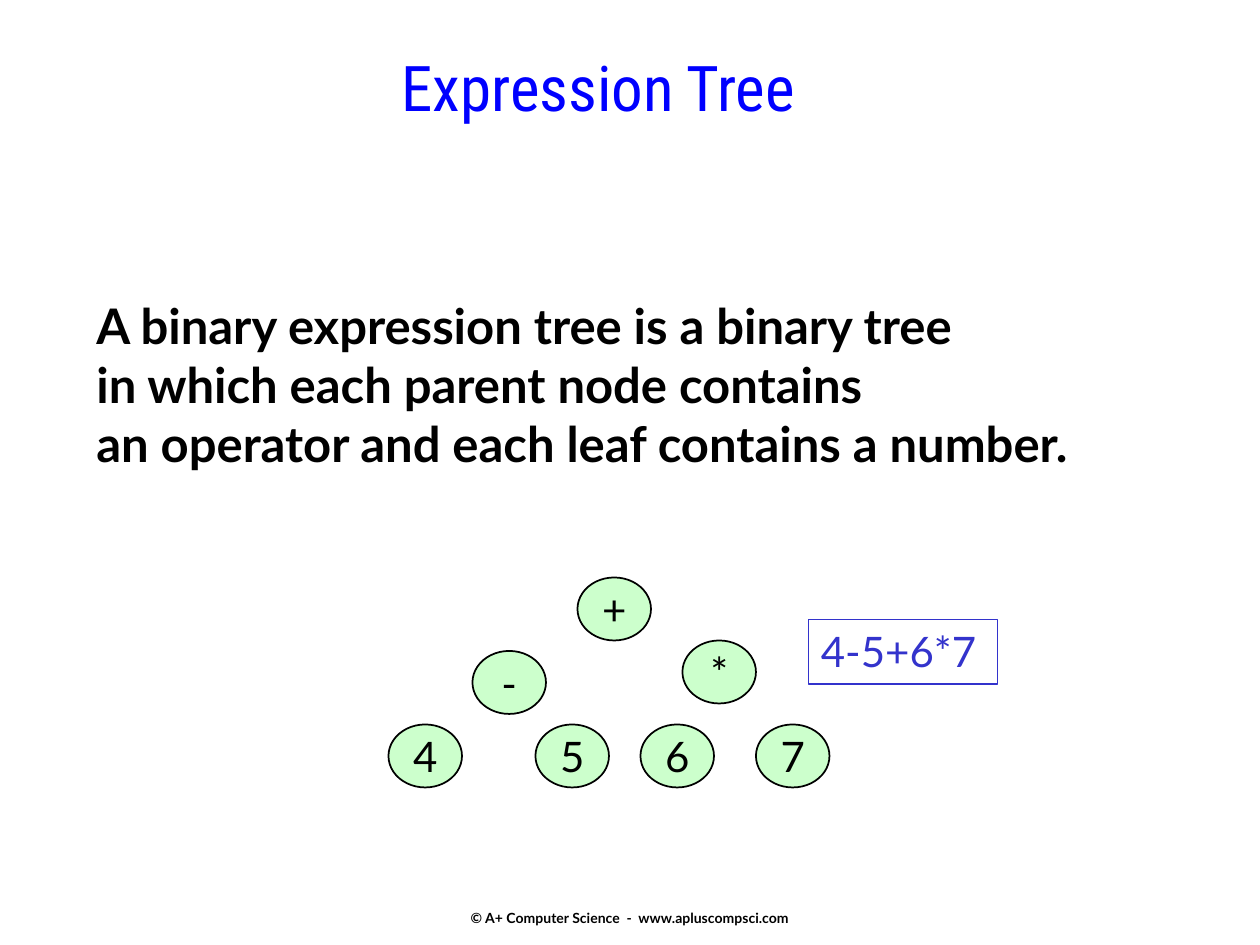
from dataclasses import dataclass

from pptx import Presentation
from pptx.dml.color import RGBColor
from pptx.enum.shapes import MSO_SHAPE
from pptx.enum.text import MSO_ANCHOR, PP_ALIGN
from pptx.util import Pt


@dataclass(frozen=True)
class Theme:
    black: RGBColor = RGBColor(0x00, 0x00, 0x00)
    title_blue: RGBColor = RGBColor(0x00, 0x00, 0xFF)
    formula_blue: RGBColor = RGBColor(0x33, 0x33, 0xCC)
    node_green: RGBColor = RGBColor(0xCC, 0xFF, 0xCC)
    title_font: str = "Roboto Condensed"
    body_font: str = "Lato"
    title_size: int = 36
    body_size: int = 28
    node_size: int = 24
    footer_size: int = 8


theme = Theme()


def write_text(shape, text, *, size, color=theme.black, font=theme.body_font,
               bold=False, align=PP_ALIGN.LEFT, anchor=MSO_ANCHOR.TOP, wrap=False):
    """Write one paragraph per line of text; a vertical tab breaks a line."""
    frame = shape.text_frame
    frame.text = text
    frame.word_wrap = wrap
    frame.vertical_anchor = anchor
    for paragraph in frame.paragraphs:
        paragraph.alignment = align
        paragraph.font.size = Pt(size)
        for run in paragraph.runs:
            run.font.name = font
            run.font.size = Pt(size)
            run.font.bold = bold
            run.font.color.rgb = color


presentation = Presentation()
presentation.slide_width = Pt(720)
presentation.slide_height = Pt(540)
slide = presentation.slides.add_slide(presentation.slide_layouts[6])

# Footer
footer = slide.shapes.add_textbox(Pt(246), Pt(512.4), Pt(228), Pt(24))
write_text(footer, "© A+ Computer Science  -  www.apluscompsci.com",
           size=theme.footer_size, bold=True,
           align=PP_ALIGN.CENTER, anchor=MSO_ANCHOR.MIDDLE)

# Title
title = slide.shapes.add_textbox(Pt(90), Pt(24), Pt(504), Pt(72))
write_text(title, "Expression Tree", size=theme.title_size,
           color=theme.title_blue, font=theme.title_font, align=PP_ALIGN.CENTER)

# Definition
definition = slide.shapes.add_textbox(Pt(48), Pt(165.6), Pt(652), Pt(108))
write_text(definition,
           "A binary expression tree is a binary tree\n"
           "in which each parent node contains\v"
           "an operator and each leaf contains a number.",
           size=theme.body_size, bold=True)

# Tree nodes: label, left, top
leaf_top = 414
nodes = [
    ("+", 330, 330),
    ("-", 270, 372),
    ("4", 222, leaf_top),
    ("5", 306, leaf_top),
    ("*", 390, 366),
    ("6", 366, leaf_top),
    ("7", 432, leaf_top),
]
for label, left, top in nodes:
    node = slide.shapes.add_shape(MSO_SHAPE.OVAL, Pt(left), Pt(top), Pt(42), Pt(36))
    node.shadow.inherit = False
    node.fill.solid()
    node.fill.fore_color.rgb = theme.node_green
    node.line.color.rgb = theme.black
    node.line.width = Pt(1)
    write_text(node, label, size=theme.node_size,
               align=PP_ALIGN.CENTER, anchor=MSO_ANCHOR.MIDDLE)

# Formula
formula = slide.shapes.add_shape(MSO_SHAPE.RECTANGLE, Pt(462), Pt(354), Pt(108), Pt(36.7))
formula.shadow.inherit = False
formula.fill.background()
formula.line.color.rgb = theme.formula_blue
formula.line.width = Pt(1)
write_text(formula, "4-5+6*7", size=theme.node_size,
           color=theme.formula_blue, wrap=True)

presentation.save("out.pptx")
